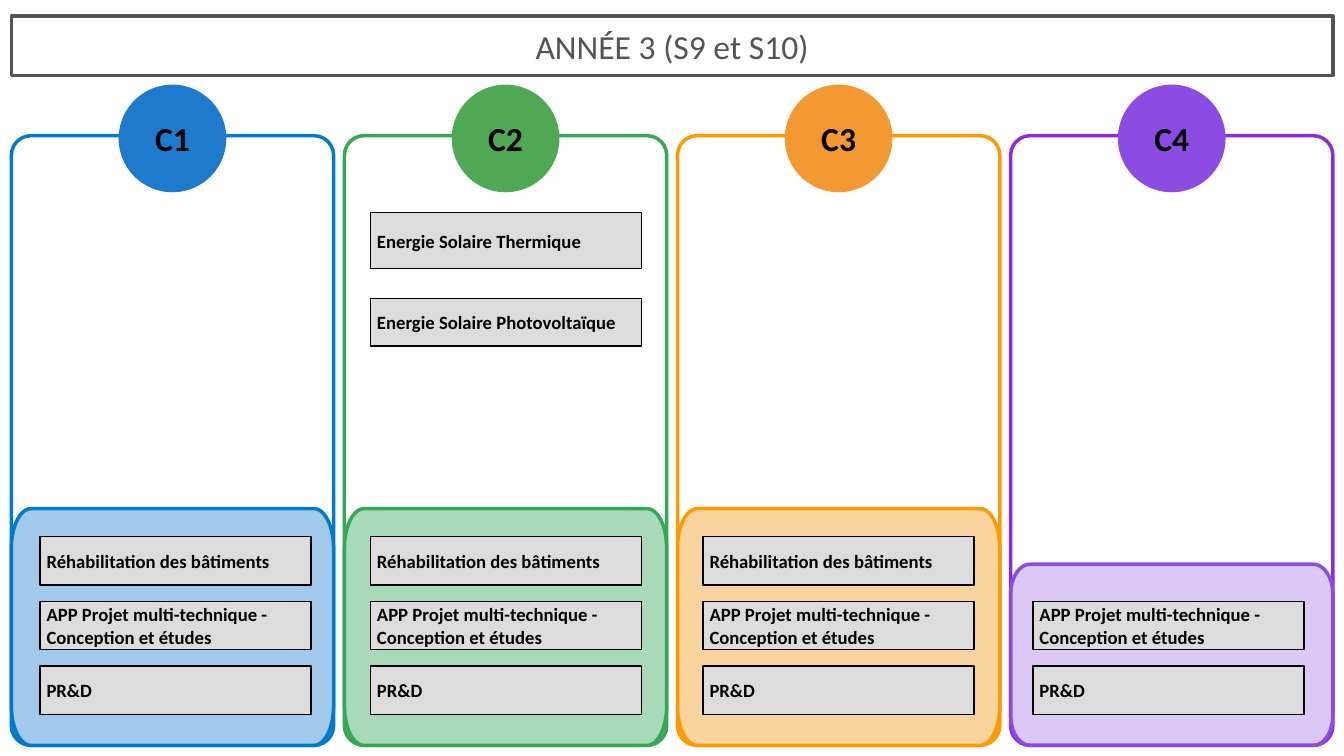
from dataclasses import dataclass
from math import cos, pi, sin

from lxml.etree import SubElement
from pptx import Presentation
from pptx.dml.color import RGBColor
from pptx.enum.shapes import MSO_SHAPE
from pptx.enum.text import MSO_ANCHOR, MSO_AUTO_SIZE, PP_ALIGN
from pptx.oxml.ns import qn
from pptx.util import Cm, Pt

FONT = "Calibri"
LEFT, PITCH, WIDTH = 0.43, 12.59, 12.18
FRAME_TOP, BOTTOM = 5.13, 28.18
CORNER = 0.74
CIRCLE_TOP, CIRCLE_SIZE = 3.24, 3.99
COURSE_WIDTH, COURSE_HEIGHT = 10.25, 1.83
COURSE_TOP, COURSE_PITCH = 20.28, 2.45
SHARED_COURSES = [
    "Réhabilitation des bâtiments",
    "APP Projet multi-technique - Conception et études",
    "PR&D",
]


@dataclass
class Column:
    name: str
    circle_color: str
    frame_color: str
    base_color: str
    base_line: str
    course_indent: float
    base_top: float = 19.23
    base_alpha: int = 100
    first_course: int = 0


COLUMNS = [
    Column("C1", "1E7ACC", "007ACC", "A0C9EB", "007ACC", 1.08),
    Column("C2", "4FA954", "34A853", "A8DAB9", "34A853", 0.98),
    Column("C3", "F49831", "FF9900", "FAD49E", "FF9900", 0.96),
    Column("C4", "8C4BE2", "8A2BE2", "8C4BE2", "8C4BE2", 0.84,
           base_top=21.33, base_alpha=30, first_course=1),
]


def rgb(color):
    return RGBColor.from_string(color)


def style_shape(shape, line_color, line_width, fill=None):
    shape.shadow.inherit = False
    if fill:
        shape.fill.solid()
        shape.fill.fore_color.rgb = rgb(fill)
    else:
        shape.fill.background()
    shape.line.color.rgb = rgb(line_color)
    shape.line.width = Pt(line_width)


def write_text(shape, text, size, color="000000", bold=True, align=PP_ALIGN.CENTER):
    frame = shape.text_frame
    frame.text = text
    frame.word_wrap = True
    frame.auto_size = MSO_AUTO_SIZE.NONE
    frame.vertical_anchor = MSO_ANCHOR.MIDDLE
    paragraph = frame.paragraphs[0]
    paragraph.alignment = align
    font = paragraph.font
    font.name, font.size, font.bold = FONT, Pt(size), bold
    font.color.rgb = rgb(color)


def add_title(slide, text):
    title = slide.shapes.title
    title.left, title.top = Cm(LEFT), Cm(0.6)
    title.width, title.height = Cm(49.95), Cm(2.25)
    title.fill.background()
    title.line.color.rgb = rgb("545454")
    title.line.width = Pt(3.75)
    write_text(title, text, 36, "545454", bold=False)


def add_frame(slide, left, color):
    frame = slide.shapes.add_shape(
        MSO_SHAPE.ROUNDED_RECTANGLE,
        Cm(left), Cm(FRAME_TOP), Cm(WIDTH), Cm(BOTTOM - FRAME_TOP))
    frame.adjustments[0] = CORNER / WIDTH
    style_shape(frame, color, 3.75)


def add_circle(slide, left, name, color):
    circle = slide.shapes.add_shape(
        MSO_SHAPE.OVAL, Cm(left + (WIDTH - CIRCLE_SIZE) / 2), Cm(CIRCLE_TOP),
        Cm(CIRCLE_SIZE), Cm(CIRCLE_SIZE))
    style_shape(circle, color, 2.25, color)
    write_text(circle, name, 36)
    frame = circle.text_frame
    frame.margin_left = frame.margin_right = frame.margin_top = frame.margin_bottom = 0


def elliptical_corner_points(left, top, width, height, radius_x, radius_y, steps=12):
    """Outline of a rectangle with elliptical corners, clockwise from the right."""
    right, bottom = left + width, top + height
    centers = [
        (right - radius_x, bottom - radius_y),
        (left + radius_x, bottom - radius_y),
        (left + radius_x, top + radius_y),
        (right - radius_x, top + radius_y),
    ]
    points = []
    for quarter, (x, y) in enumerate(centers):
        for step in range(steps + 1):
            angle = (quarter + step / steps) * pi / 2
            points.append((Cm(x + radius_x * cos(angle)), Cm(y + radius_y * sin(angle))))
    return points


def add_base(slide, left, column):
    height = BOTTOM - column.base_top
    points = elliptical_corner_points(
        left, column.base_top, WIDTH, height, CORNER, height / 6)
    builder = slide.shapes.build_freeform(*points[0])
    builder.add_line_segments(points[1:], close=True)
    base = builder.convert_to_shape()
    style_shape(base, column.base_line, 3.75, column.base_color)
    if column.base_alpha < 100:
        fill_color = base._element.spPr.find(qn("a:solidFill")).find(qn("a:srgbClr"))
        SubElement(fill_color, qn("a:alpha"), val=str(column.base_alpha * 1000))


def add_course(slide, left, top, text, height=COURSE_HEIGHT):
    course = slide.shapes.add_shape(
        MSO_SHAPE.RECTANGLE, Cm(left), Cm(top), Cm(COURSE_WIDTH), Cm(height))
    style_shape(course, "000000", 1.5, "DDDCDC")
    write_text(course, text, 20, align=PP_ALIGN.LEFT)


def add_column(slide, left, column):
    add_frame(slide, left, column.frame_color)
    add_circle(slide, left, column.name, column.circle_color)
    add_base(slide, left, column)
    for row, text in enumerate(SHARED_COURSES):
        if row >= column.first_course:
            add_course(slide, left + column.course_indent,
                       COURSE_TOP + row * COURSE_PITCH, text)


def main():
    presentation = Presentation()
    presentation.slide_width, presentation.slide_height = Cm(50.8), Cm(28.58)
    slide = presentation.slides.add_slide(presentation.slide_layouts[5])
    add_title(slide, "ANNÉE 3 (S9 et S10)")
    for index, column in enumerate(COLUMNS):
        add_column(slide, LEFT + index * PITCH, column)
    solar_left = LEFT + PITCH + COLUMNS[1].course_indent
    add_course(slide, solar_left, 8.03, "Energie Solaire Thermique", 2.13)
    add_course(slide, solar_left, 11.29, "Energie Solaire Photovoltaïque", 1.79)
    presentation.save("out.pptx")


if __name__ == "__main__":
    main()
